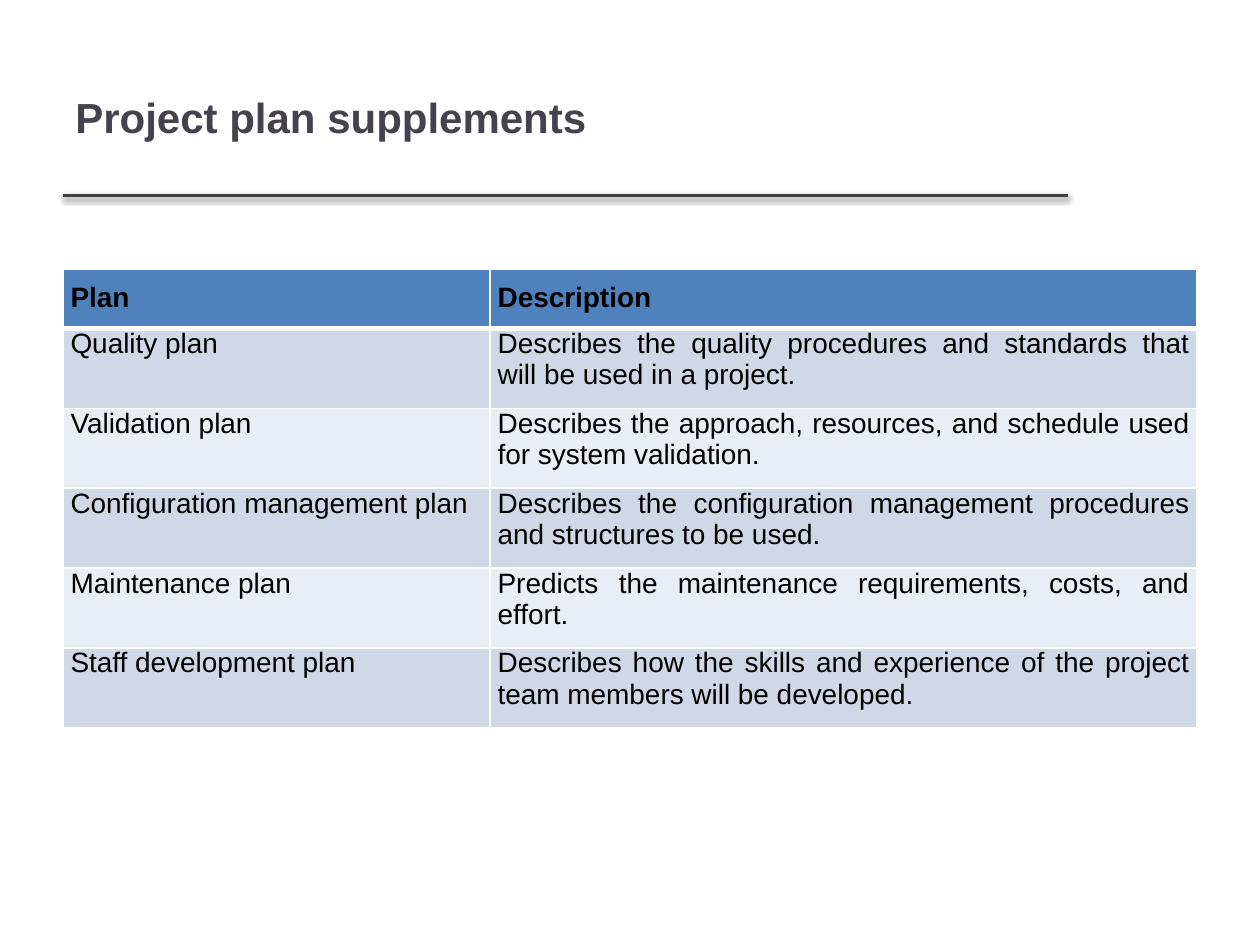
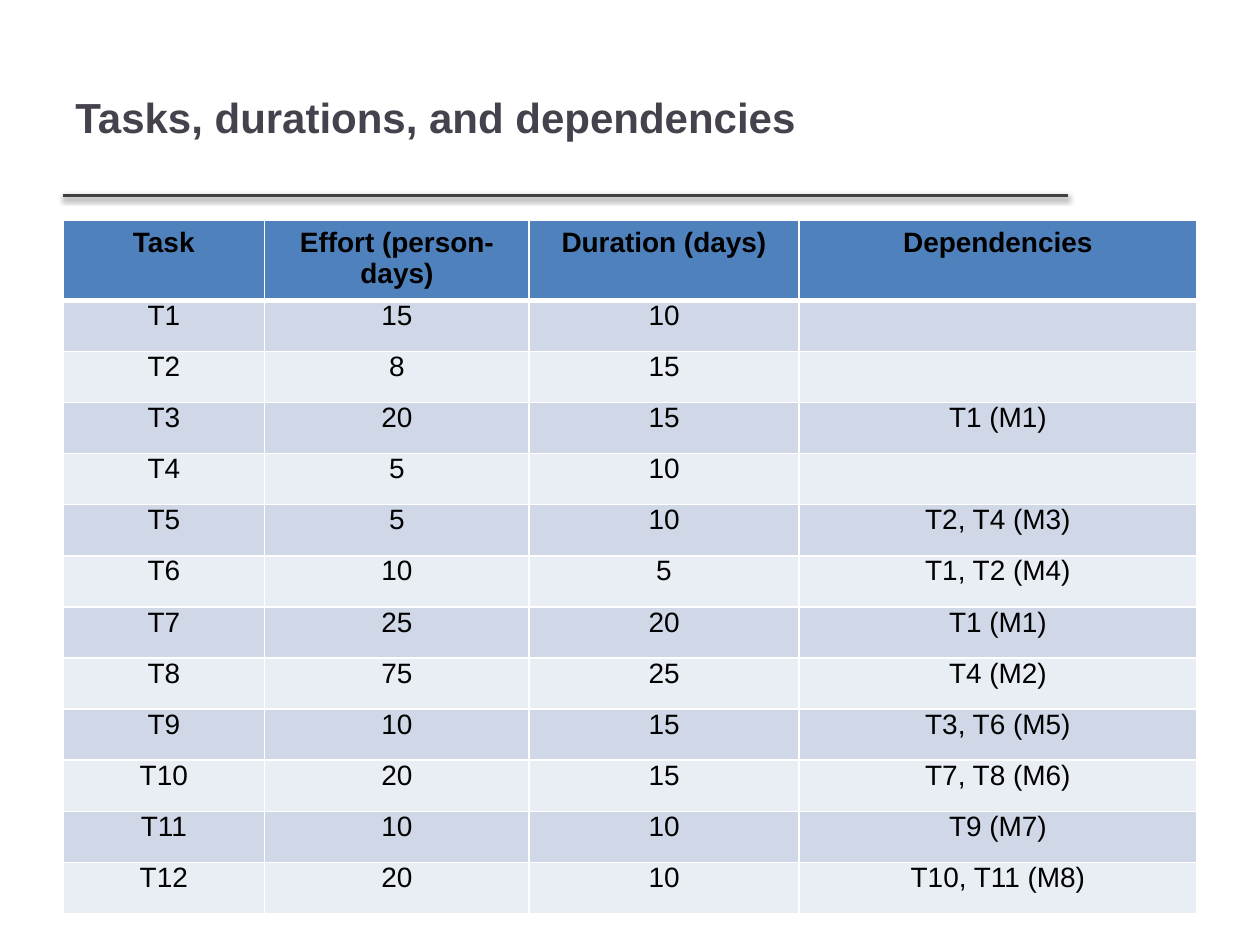
"""Builds two project planning slides, each with a ruled title and a banded table."""
from lxml.etree import SubElement
from pptx import Presentation
from pptx.dml.color import RGBColor
from pptx.enum.shapes import MSO_CONNECTOR
from pptx.enum.text import MSO_ANCHOR, PP_ALIGN as ALIGN
from pptx.oxml import parse_xml
from pptx.oxml.ns import nsdecls, qn
from pptx.util import Inches, Pt

FONT = "Arial"
TITLE_COLOR = RGBColor(0x46, 0x42, 0x4D)
RULE_COLOR = RGBColor(0x40, 0x40, 0x40)
BLACK = RGBColor(0x00, 0x00, 0x00)
WHITE = RGBColor(0xFF, 0xFF, 0xFF)
HEADER_FILL = RGBColor(0x4F, 0x81, 0xBD)
BAND_FILLS = (RGBColor(0xD0, 0xD8, 0xE8), RGBColor(0xE9, 0xED, 0xF4))

LEFT = 0.5
TITLE_TOP, TITLE_WIDTH, TITLE_HEIGHT = 0.3, 7.98, 1.25
RULE_Y = TITLE_TOP + TITLE_HEIGHT
SIDE_MARGIN = 0.06

SUPPLEMENTS = [
    ("Plan", "Description"),
    ("Quality plan",
     "Describes the quality procedures and standards that will be used in a project."),
    ("Validation plan",
     "Describes the approach, resources, and schedule used for system validation."),
    ("Configuration management plan",
     "Describes the configuration management procedures and structures to be used."),
    ("Maintenance plan",
     "Predicts the maintenance requirements, costs, and effort."),
    ("Staff development plan",
     "Describes how the skills and experience of the project team members "
     "will be developed."),
]
TASKS = [
    ("Task", "Effort (person-days)", "Duration (days)", "Dependencies"),
    ("T1", "15", "10", ""),
    ("T2", "8", "15", ""),
    ("T3", "20", "15", "T1 (M1)"),
    ("T4", "5", "10", ""),
    ("T5", "5", "10", "T2, T4 (M3)"),
    ("T6", "10", "5", "T1, T2 (M4)"),
    ("T7", "25", "20", "T1 (M1)"),
    ("T8", "75", "25", "T4 (M2)"),
    ("T9", "10", "15", "T3, T6 (M5)"),
    ("T10", "20", "15", "T7, T8 (M6)"),
    ("T11", "10", "10", "T9 (M7)"),
    ("T12", "20", "10", "T10, T11 (M8)"),
]


def style_text(paragraph, size, color, bold, align):
    """Set the font and alignment of a paragraph."""
    font = paragraph.font
    font.name, font.size, font.bold = FONT, Pt(size), bold
    font.color.rgb = color
    paragraph.alignment = align


def add_rule(slide):
    """Draw the shadowed line below the title."""
    rule = slide.shapes.add_connector(
        MSO_CONNECTOR.STRAIGHT, Inches(LEFT), Inches(RULE_Y),
        Inches(LEFT + TITLE_WIDTH), Inches(RULE_Y))
    rule.line.color.rgb = RULE_COLOR
    rule.line.width = Pt(2)
    rule._element.spPr.append(parse_xml(
        f'<a:effectLst {nsdecls("a")}>'
        f'<a:outerShdw blurRad="{Pt(3.1)}" dist="{Pt(1.6)}" dir="5400000" rotWithShape="0">'
        '<a:srgbClr val="000000"><a:alpha val="38000"/></a:srgbClr>'
        '</a:outerShdw></a:effectLst>'))


def add_title(slide, title):
    """Write the slide title above the rule."""
    box = slide.shapes.add_textbox(
        Inches(LEFT), Inches(TITLE_TOP), Inches(TITLE_WIDTH), Inches(TITLE_HEIGHT))
    frame = box.text_frame
    frame.word_wrap = True
    frame.vertical_anchor = MSO_ANCHOR.MIDDLE
    frame.text = title
    style_text(frame.paragraphs[0], 24, TITLE_COLOR, True, ALIGN.LEFT)


def add_titled_slide(deck, title):
    """Add a blank slide with the shared title and rule."""
    slide = deck.slides.add_slide(deck.slide_layouts[6])
    add_rule(slide)
    add_title(slide, title)
    return slide


def set_borders(cell, top, bottom):
    """Give a cell white borders, with top and bottom widths in points."""
    properties = cell._tc.get_or_add_tcPr()
    sides = (("a:lnL", 1), ("a:lnR", 1), ("a:lnT", top), ("a:lnB", bottom))
    for position, (tag, width) in enumerate(sides):
        border = SubElement(properties, qn(tag), w=str(Pt(width)))
        fill = SubElement(border, qn("a:solidFill"))
        SubElement(fill, qn("a:srgbClr"), val=str(WHITE))
        properties.insert(position, border)


def fill_cell(cell, text, row, align, margin):
    """Write and style one cell according to its row."""
    header = row == 0
    cell.text = text
    style_text(cell.text_frame.paragraphs[0], 16, BLACK, header, align)
    cell.margin_left = cell.margin_right = Inches(SIDE_MARGIN)
    cell.margin_top = Inches(margin if header else 0)
    cell.margin_bottom = Inches(margin)
    cell.fill.solid()
    cell.fill.fore_color.rgb = HEADER_FILL if header else BAND_FILLS[(row - 1) % 2]
    set_borders(cell, 3 if row == 1 else 1, 3 if header else 1)


def add_banded_table(slide, rows, top, widths, header_height, body_height,
                     margin, header_align, body_aligns):
    """Add a table whose body rows share the body height equally."""
    table = slide.shapes.add_table(
        len(rows), len(widths), Inches(LEFT), Inches(top),
        Inches(sum(widths)), Inches(header_height + body_height)).table
    for column, width in zip(table.columns, widths):
        column.width = Inches(width)
    for index, texts in enumerate(rows):
        height = body_height / (len(rows) - 1) if index else header_height
        table.rows[index].height = Inches(height)
        for column, text in enumerate(texts):
            align = body_aligns[column] if index else header_align
            fill_cell(table.cell(index, column), text, index, align, margin)


def main():
    """Build and save the deck."""
    deck = Presentation()
    deck.slide_width, deck.slide_height = Inches(10), Inches(7.5)

    supplements = add_titled_slide(deck, "Project plan supplements")
    add_banded_table(supplements, SUPPLEMENTS, 2.14, (3.39, 5.61), 0.44, 2.97,
                     0.1, ALIGN.JUSTIFY, (ALIGN.LEFT, ALIGN.JUSTIFY))

    tasks = add_titled_slide(deck, "Tasks, durations, and dependencies")
    add_banded_table(tasks, TASKS, 1.75, (1.6, 2.1, 2.14, 3.16), 0.59, 4.87,
                     0.05, ALIGN.CENTER, (ALIGN.CENTER,) * 4)

    deck.save("out.pptx")


main()
